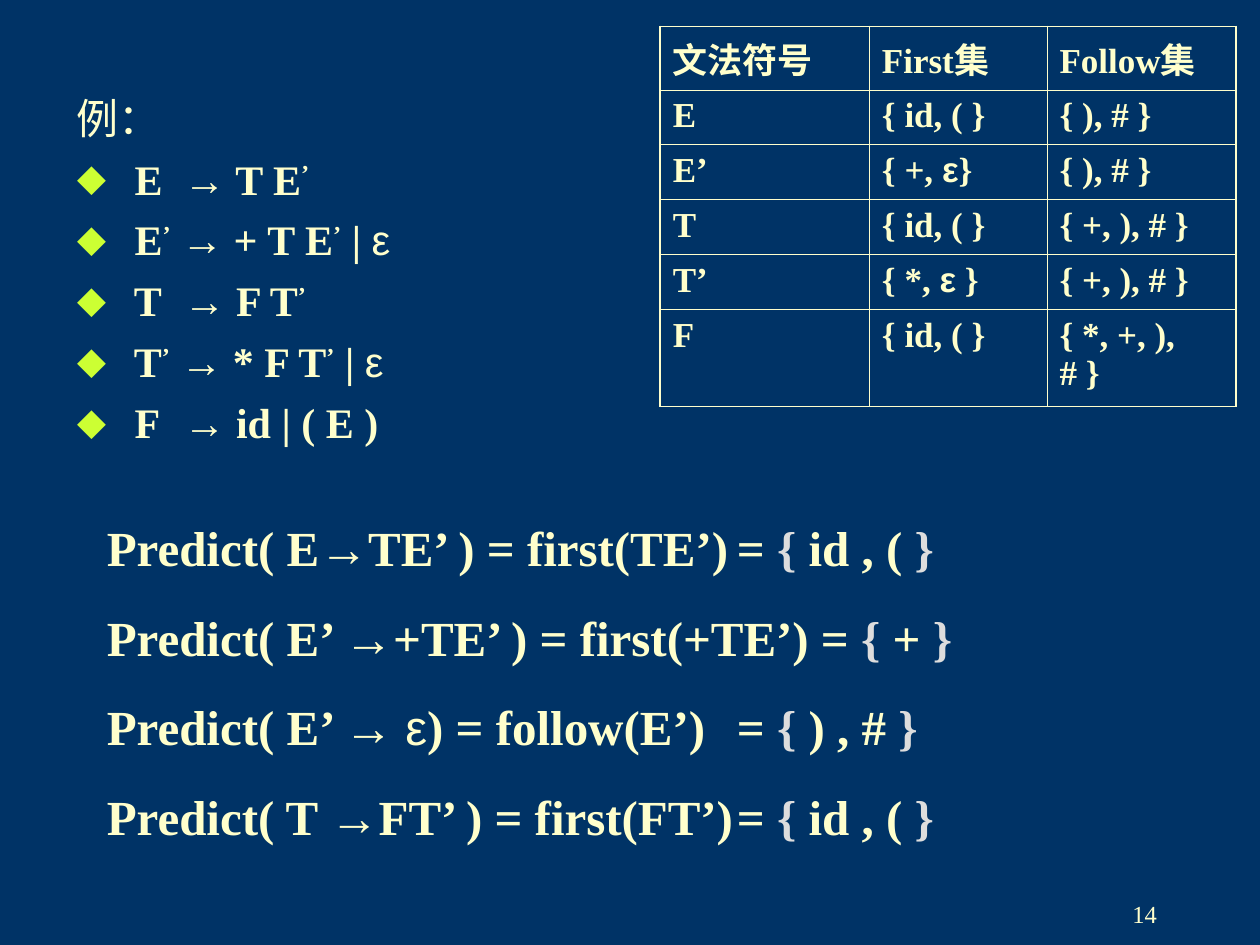
from itertools import groupby

from lxml.etree import SubElement
from pptx import Presentation
from pptx.dml.color import RGBColor
from pptx.enum.text import MSO_ANCHOR, MSO_AUTO_SIZE, PP_ALIGN
from pptx.oxml.ns import qn
from pptx.util import Pt

NAVY = RGBColor(0x00, 0x33, 0x66)
CREAM = RGBColor(0xFF, 0xFF, 0xCC)
LIME = RGBColor(0xCC, 0xFF, 0x33)
SILVER = RGBColor(0xDD, 0xDD, 0xDD)

# A tab stands between the left-hand symbol and its arrow where there is a gap.
GRAMMAR = [
    " E\t→ T E’",
    " E’ → + T E’ | ε",
    " T\t→ F T’",
    " T’ → * F T’ | ε",
    " F\t→ id | ( E )",
]
ARROW_STOP = 61

SETS = [
    ("文法符号", "First集", "Follow集"),
    ("E", "{ id, ( }", "{ ), # }"),
    ("E’", "{ +, ε}", "{ ), # }"),
    ("T", "{ id, ( }", "{ +, ), # }"),
    ("T’", "{ *, ε }", "{ +, ), # }"),
    ("F", "{ id, ( }", "{ *, +, ), # }"),
]

# Each line with the tab stop of its result, if it has one.
PREDICTS = [
    ("Predict( E→TE’ ) = first(TE’)\t= { id , ( }", 410),
    ("Predict( E’ →+TE’ ) = first(+TE’) = { + }", None),
    ("Predict( E’ → ε) = follow(E’)\t= { ) , # }", 397),
    ("Predict( T →FT’ ) = first(FT’)\t= { id , ( }", 405),
]


class SlideBuilder:
    serif = "Times New Roman"
    symbol_font = "Arial"
    symbols = "→ε"

    def __init__(self, deck, layout):
        self.page = deck.slides.add_slide(deck.slide_layouts[layout])
        fill = self.page.background.fill
        fill.solid()
        fill.fore_color.rgb = NAVY

    def paragraph(self, frame, index, text, size, bold=True, before=0,
                  tab=None, bullet=None, indent=0, raised="", grey="", light=""):
        """Write one paragraph; raised, grey and light list specially set characters."""
        para = frame.paragraphs[0] if index == 0 else frame.add_paragraph()
        para.space_before = Pt(before if index else 0)
        para.space_after = Pt(0)
        para.line_spacing = 1.0
        props = para._p.get_or_add_pPr()
        props.set("marL", str(Pt(indent)))
        props.set("indent", str(-Pt(indent)))
        if bullet:
            colour = SubElement(props, qn("a:buClr"))
            SubElement(colour, qn("a:srgbClr"), val=str(LIME))
            SubElement(props, qn("a:buChar"), char=bullet)
        else:
            SubElement(props, qn("a:buNone"))
        if tab:
            stops = SubElement(props, qn("a:tabLst"))
            SubElement(stops, qn("a:tab"), pos=str(Pt(tab)), algn="l")
        font = para.font
        font.name, font.size, font.bold = self.serif, Pt(size), bold
        font.color.rgb = CREAM

        def look(char):
            return (char in self.symbols, char in raised, char in grey, char in light)

        for (symbol, high, dim, thin), chars in groupby(text, look):
            span = para.add_run()
            span.text = "".join(chars)
            if symbol:
                span.font.name = self.symbol_font
            if high:
                span._r.get_or_add_rPr().set("baseline", "30000")
            if dim:
                span.font.color.rgb = SILVER
            if thin:
                span.font.bold = False
        return para

    def text_box(self, left, top, width, height):
        box = self.page.shapes.add_textbox(Pt(left), Pt(top), Pt(width), Pt(height))
        box.text_frame.word_wrap = True
        return box.text_frame

    def body(self, left, top, width, height):
        """Place the body placeholder and drop the unused title."""
        title = self.page.shapes.title
        title._element.getparent().remove(title._element)
        box = self.page.placeholders[1]
        box.left, box.top, box.width, box.height = map(Pt, (left, top, width, height))
        box.text_frame.auto_size = MSO_AUTO_SIZE.NONE
        return box.text_frame

    def table(self, left, top, widths, heights, rows):
        shape = self.page.shapes.add_table(
            len(rows), len(widths), Pt(left), Pt(top), Pt(sum(widths)), Pt(sum(heights)))
        table = shape.table
        table.first_row = table.horz_banding = False
        for column, width in zip(table.columns, widths):
            column.width = Pt(width)
        last_row, last_column = len(rows) - 1, len(widths) - 1
        for i, texts in enumerate(rows):
            table.rows[i].height = Pt(heights[i])
            for j, text in enumerate(texts):
                cell = table.cell(i, j)
                self.paragraph(cell.text_frame, 0, text, 20)
                self.borders(cell, {"L": j == 0, "R": j == last_column,
                                    "T": i == 0, "B": i == last_row})
                cell.fill.background()

    def borders(self, cell, sides):
        """Draw each side, heavier where it lies on the outer frame."""
        props = cell._tc.get_or_add_tcPr()
        for side, outer in sides.items():
            line = SubElement(props, qn(f"a:ln{side}"), w=str(Pt(1.08 if outer else 0.45)))
            fill = SubElement(line, qn("a:solidFill"))
            SubElement(fill, qn("a:srgbClr"), val=str(CREAM))


def main():
    deck = Presentation()
    deck.slide_width, deck.slide_height = Pt(720), Pt(540)
    slide = SlideBuilder(deck, layout=1)

    grammar = slide.body(36.7, 49, 232.5, 226.8)
    slide.paragraph(grammar, 0, "例：", 24, bold=False, indent=27)
    for index, rule in enumerate(GRAMMAR, 1):
        slide.paragraph(grammar, index, rule, 24, before=6, bullet="⬥", indent=27,
                        tab=ARROW_STOP if "\t" in rule else None,
                        raised="’", light="ε")

    slide.table(377.3, 15.1, [119.5, 101.5, 108], [36] + [31.4] * 4 + [55.4], SETS)

    predicts = slide.text_box(54, 292.3, 594, 194.4)
    for index, (text, stop) in enumerate(PREDICTS):
        slide.paragraph(predicts, index, text, 28, before=17.5, tab=stop,
                        grey="{}", light="ε")

    number = slide.text_box(518.4, 504, 149.8, 36)
    number.vertical_anchor = MSO_ANCHOR.MIDDLE
    slide.paragraph(number, 0, "14", 14, bold=False).alignment = PP_ALIGN.RIGHT

    deck.save("out.pptx")


if __name__ == "__main__":
    main()
